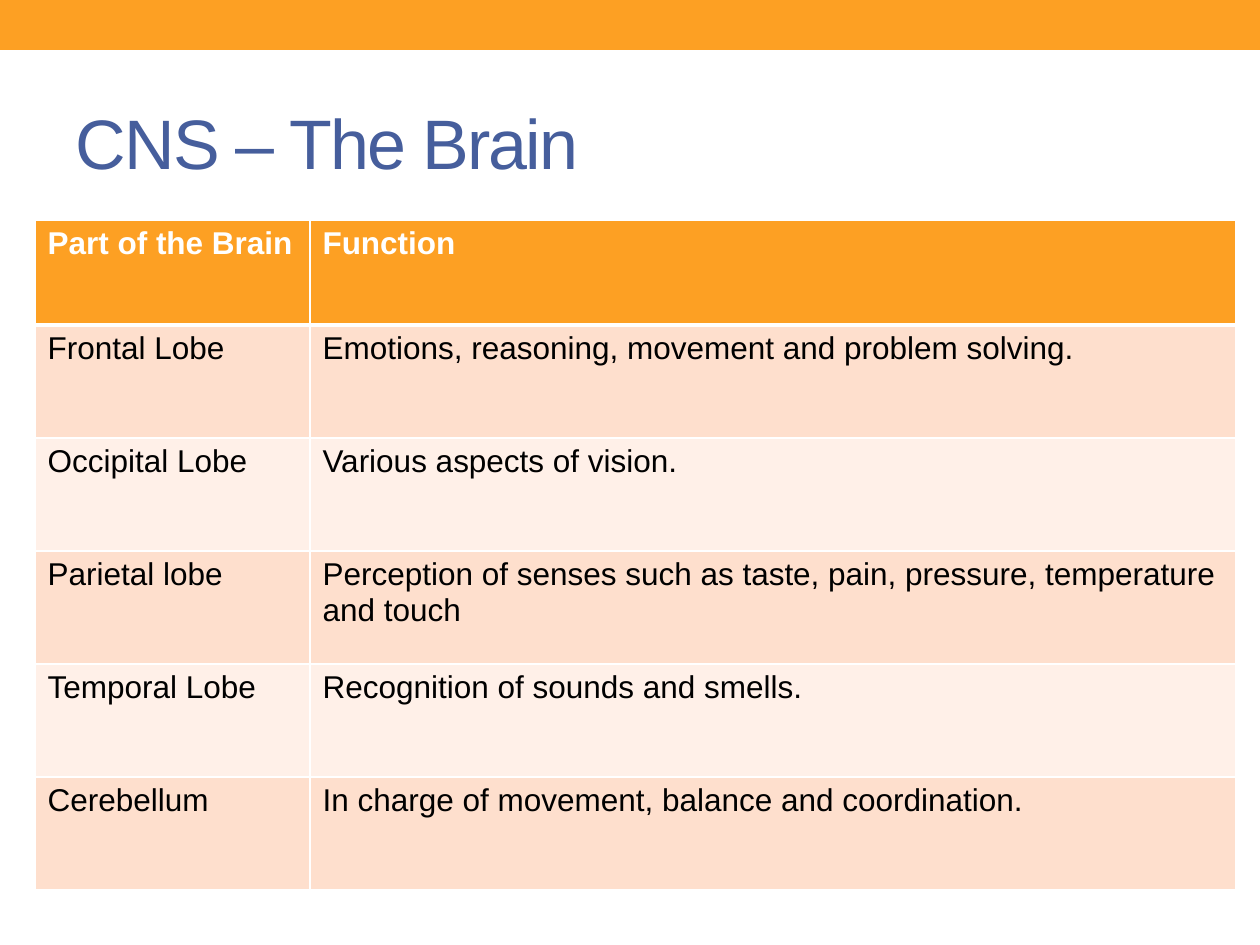
import pptx
import pptx.dml.color
import pptx.enum.shapes
import pptx.enum.text
import pptx.oxml.ns
import pptx.util
import lxml.etree

PX = 914400 / 126
ORANGE, WHITE, BLACK, BLUE = "FDA023", "FFFFFF", "000000", "465E9C"
BANDS = ("FEDFCD", "FFF0E8")

BRAIN_PARTS = [
    ("Part of the Brain", "Function"),
    ("Frontal Lobe", "Emotions, reasoning, movement and problem solving."),
    ("Occipital Lobe", "Various aspects of vision."),
    ("Parietal lobe", "Perception of senses such as taste, pain, pressure, temperature and touch"),
    ("Temporal Lobe", "Recognition of sounds and smells."),
    ("Cerebellum", "In charge of movement, balance and coordination."),
]


def px(length):
    return pptx.util.Emu(round(length * PX))


def color(value):
    return pptx.dml.color.RGBColor.from_string(value)


class SlideBuilder:
    """Holds the text style and the current slide, and adds elements to it."""

    def __init__(self, slide, font="Arial"):
        self.slide = slide
        self.font = font

    def add_text(self, paragraph, text, size, ink, bold=False):
        run = paragraph.add_run()
        run.text = text
        run.font.name = self.font
        run.font.size = pptx.util.Pt(size)
        run.font.bold = bold
        run.font.color.rgb = color(ink)
        return run

    def band(self, left, top, width, height, fill):
        band = self.slide.shapes.add_shape(
            pptx.enum.shapes.MSO_SHAPE.RECTANGLE, px(left), px(top), px(width), px(height))
        band.shadow.inherit = False
        band.fill.solid()
        band.fill.fore_color.rgb = color(fill)
        band.line.fill.background()

    def title(self, text, left, top, width, height):
        title = self.slide.shapes.title
        title.left, title.top = px(left), px(top)
        title.width, title.height = px(width), px(height)
        frame = title.text_frame
        frame.word_wrap = True
        frame.auto_size = pptx.enum.text.MSO_AUTO_SIZE.NONE
        frame.vertical_anchor = pptx.enum.text.MSO_ANCHOR.MIDDLE
        heading = frame.paragraphs[0]
        heading.alignment = pptx.enum.text.PP_ALIGN.LEFT
        run = self.add_text(heading, text, 40, BLUE)
        run.font._element.set("spc", "-100")

    def border(self, cell, side, points):
        properties = cell._tc.get_or_add_tcPr()
        line = lxml.etree.SubElement(
            properties, pptx.oxml.ns.qn(f"a:ln{side}"), w=str(pptx.util.Pt(points)))
        fill = lxml.etree.SubElement(line, pptx.oxml.ns.qn("a:solidFill"))
        lxml.etree.SubElement(fill, pptx.oxml.ns.qn("a:srgbClr"), val=WHITE)

    def cell(self, cell, text, row):
        header = row == 0
        widths = {"L": 1, "R": 1, "T": 3 if row == 1 else 1, "B": 3 if header else 1}
        for side, points in widths.items():
            self.border(cell, side, points)
        cell.fill.solid()
        cell.fill.fore_color.rgb = color(ORANGE if header else BANDS[(row - 1) % 2])
        self.add_text(cell.text_frame.paragraphs[0], text, 18, WHITE if header else BLACK, header)

    def table(self, rows, left, top, widths, heights):
        table = self.slide.shapes.add_table(
            len(rows), len(widths), px(left), px(top), px(sum(widths)), px(sum(heights))).table
        for column, width in zip(table.columns, widths):
            column.width = px(width)
        for index, (texts, height) in enumerate(zip(rows, heights)):
            table.rows[index].height = px(height)
            for column, text in enumerate(texts):
                self.cell(table.cell(index, column), text, index)


def main():
    deck = pptx.Presentation()
    deck.slide_width, deck.slide_height = px(1260), px(945)
    builder = SlideBuilder(deck.slides.add_slide(deck.slide_layouts[5]))
    builder.band(0, 0, 1260, 50, ORANGE)
    builder.title("CNS – The Brain", 63, 73, 1134, 136)
    builder.table(BRAIN_PARTS, 35, 220, [275, 926], [105] + [113] * 5)
    deck.save("out.pptx")


if __name__ == "__main__":
    main()
